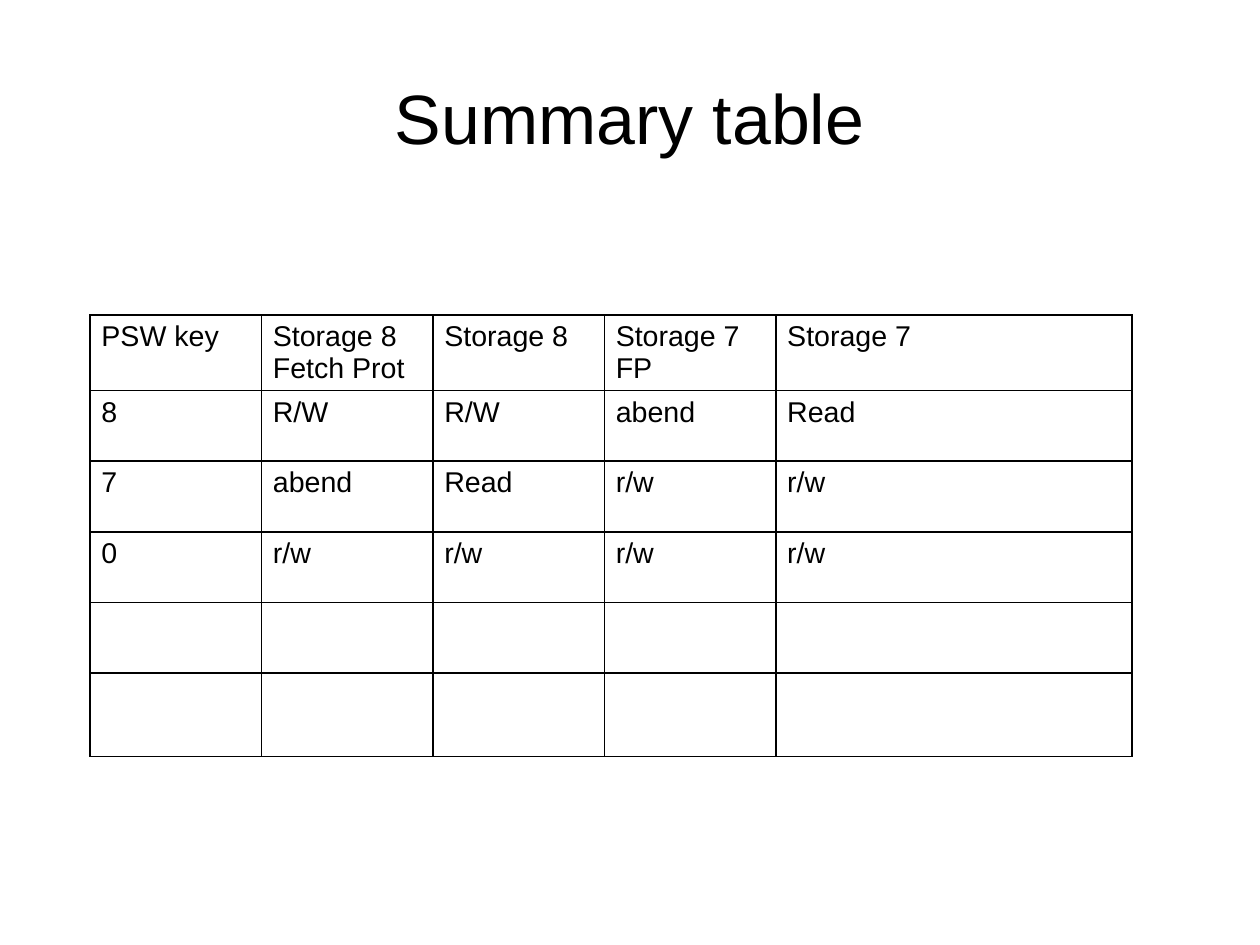
from typing import NamedTuple

from lxml import etree
from pptx import Presentation
from pptx.dml.color import RGBColor
from pptx.enum import text as txt
from pptx.oxml import ns
from pptx.table import _Cell
from pptx.text.text import TextFrame
from pptx.util import Cm, Pt

BLACK = RGBColor(0x00, 0x00, 0x00)
FONT = "Arial"
BORDER_WIDTH = Pt(1.13)
COLUMN_WIDTHS = (3.81, 3.81, 3.81, 3.81, 7.92)


class AccessRow(NamedTuple):
    height: float
    entries: tuple[str, ...] = ("",) * len(COLUMN_WIDTHS)


ACCESS_ROWS = (
    AccessRow(1.68, ("PSW key", "Storage 8\nFetch Prot", "Storage 8", "Storage 7\nFP", "Storage 7")),
    AccessRow(1.57, ("8", "R/W", "R/W", "abend", "Read")),
    AccessRow(1.57, ("7", "abend", "Read", "r/w", "r/w")),
    AccessRow(1.57, ("0", "r/w", "r/w", "r/w", "r/w")),
    AccessRow(1.57),
    AccessRow(1.85),
)


def write(frame: TextFrame, content: str, *, size: float,
          align: txt.PP_ALIGN = txt.PP_ALIGN.LEFT, color: RGBColor = BLACK) -> None:
    frame.text = content
    for paragraph in frame.paragraphs:
        paragraph.alignment = align
        paragraph.font.name = FONT
        paragraph.font.size = Pt(size)
        paragraph.font.color.rgb = color


def outline(cell: _Cell) -> None:
    """Draw a solid border on all four sides of the cell."""
    properties = cell._tc.get_or_add_tcPr()
    for side in ("lnL", "lnR", "lnT", "lnB"):
        line = etree.SubElement(properties, ns.qn(f"a:{side}"), w=str(BORDER_WIDTH))
        fill = etree.SubElement(line, ns.qn("a:solidFill"))
        etree.SubElement(fill, ns.qn("a:srgbClr"), val=str(BLACK))


def main() -> None:
    deck = Presentation()
    deck.slide_width, deck.slide_height = Cm(28), Cm(21)
    slide = deck.slides.add_slide(deck.slide_layouts[5])

    title = slide.shapes.title
    title.left, title.top, title.width, title.height = Cm(1.4), Cm(0.84), Cm(25.2), Cm(3.51)
    heading = title.text_frame
    heading.margin_left = heading.margin_right = heading.margin_top = heading.margin_bottom = 0
    heading.vertical_anchor = txt.MSO_ANCHOR.MIDDLE
    write(heading, "Summary table", size=44, align=txt.PP_ALIGN.CENTER)

    summary = slide.shapes.add_table(
        len(ACCESS_ROWS), len(COLUMN_WIDTHS), Cm(2), Cm(7),
        Cm(sum(COLUMN_WIDTHS)), Cm(sum(row.height for row in ACCESS_ROWS))).table
    summary.first_row = summary.horz_banding = False
    for column, width in zip(summary.columns, COLUMN_WIDTHS):
        column.width = Cm(width)
    for table_row, access in zip(summary.rows, ACCESS_ROWS):
        table_row.height = Cm(access.height)
        for cell, entry in zip(table_row.cells, access.entries):
            outline(cell)
            cell.fill.background()
            write(cell.text_frame, entry, size=18)

    deck.save("out.pptx")


if __name__ == "__main__":
    main()
